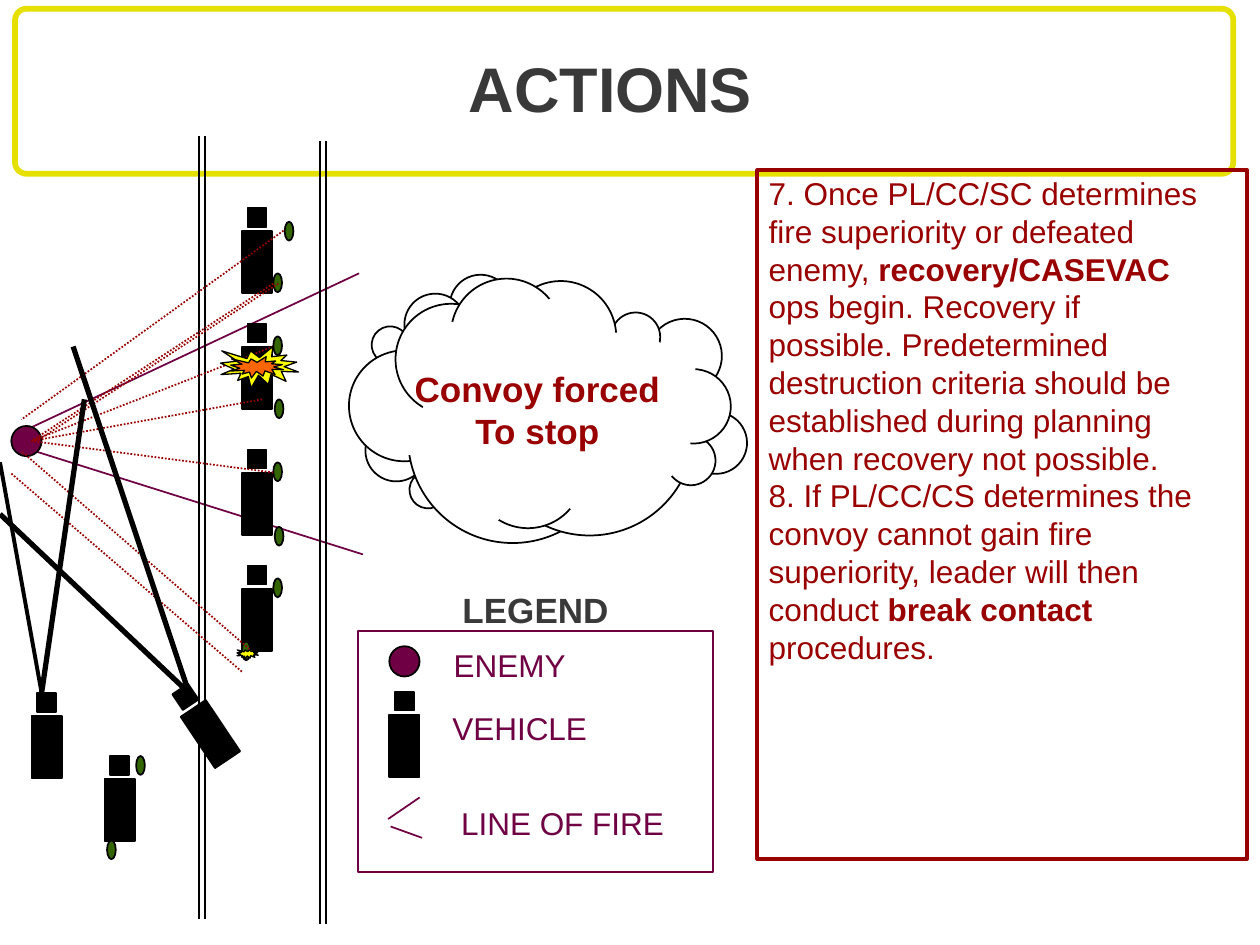
from collections import namedtuple
from dataclasses import dataclass
import math

from lxml import etree
from pptx import Presentation
from pptx.dml.color import RGBColor
from pptx.enum.dml import MSO_LINE
from pptx.enum.shapes import MSO_CONNECTOR, MSO_SHAPE
from pptx.enum.text import MSO_ANCHOR, MSO_AUTO_SIZE, PP_ALIGN
from pptx.oxml.ns import qn
from pptx.util import Pt

RECT, ROUNDED = MSO_SHAPE.RECTANGLE, MSO_SHAPE.ROUNDED_RECTANGLE
OVAL, BURST = MSO_SHAPE.OVAL, MSO_SHAPE.EXPLOSION1
STRAIGHT, DOTTED = MSO_CONNECTOR.STRAIGHT, MSO_LINE.ROUND_DOT
LEFT, CENTER = PP_ALIGN.LEFT, PP_ALIGN.CENTER
TOP, FIXED = MSO_ANCHOR.TOP, MSO_AUTO_SIZE.NONE

Box = namedtuple("Box", "left top width height")


@dataclass(frozen=True)
class Theme:
    font: str = "Arial"
    heading: str = "393939"
    frame: str = "E5E000"
    enemy: str = "6E0043"
    alert: str = "990000"
    ink: str = "000000"
    paper: str = "FFFFFF"
    troop: str = "336600"
    flash: str = "FFFF00"
    flash_core: str = "FF6600"
    title_size: float = 36
    label_size: float = 20
    text_size: float = 18
    leading: float = 1.2


THEME = Theme()
ENEMY_SIZE = 17.3


def write(frame, lines, size=THEME.text_size, color=THEME.ink, bold=False,
          align=CENTER, wrap=False):
    """Fill a text frame, one paragraph a line; *asterisks* mark bold words."""
    frame.word_wrap, frame.auto_size, frame.vertical_anchor = wrap, FIXED, TOP
    for number, line in enumerate(lines):
        paragraph = frame.add_paragraph() if number else frame.paragraphs[0]
        paragraph.alignment = align
        paragraph.line_spacing = Pt(size * THEME.leading)
        paragraph.space_before = Pt(0)
        for part, words in enumerate(line.split("*")):
            if words:
                run = paragraph.add_run()
                run.text = words
                run.font.name, run.font.size = THEME.font, Pt(size)
                run.font.bold = bold or part % 2 == 1
                run.font.color.rgb = RGBColor.from_string(color)


def place(item, box):
    item.left, item.top, item.width, item.height = (Pt(v) for v in box)


def inside(box, x, y, width, height):
    return Box(box.left + x, box.top + y, width, height)


def paint(shape, fill, line, weight):
    shape.shadow.inherit = False
    if fill:
        shape.fill.solid()
        shape.fill.fore_color.rgb = RGBColor.from_string(fill)
    else:
        shape.fill.background()
    if line:
        shape.line.color.rgb = RGBColor.from_string(line)
        shape.line.width = Pt(weight)
    else:
        shape.line.fill.background()


def add_preset(slide, preset, box, fill=None, line=THEME.ink, weight=1, angle=0):
    shape = slide.shapes.add_shape(preset, *(Pt(v) for v in box))
    paint(shape, fill, line, weight)
    shape.rotation = angle
    return shape


def add_line(slide, box, start, end, color=THEME.ink, weight=1, dash=None):
    points = [Pt(v) for x, y in (start, end) for v in (box.left + x, box.top + y)]
    line = slide.shapes.add_connector(STRAIGHT, *points)
    line.line.color.rgb = RGBColor.from_string(color)
    line.line.width = Pt(weight)
    if dash:
        line.line.dash_style = dash
    etree.SubElement(line._element.spPr, qn("a:effectLst"))


def add_label(slide, box, *lines, **style):
    label = slide.shapes.add_textbox(*(Pt(v) for v in box))
    write(label.text_frame, lines, **style)


def add_enemy(slide, box, x, y):
    add_preset(slide, OVAL, inside(box, x, y, ENEMY_SIZE, ENEMY_SIZE), THEME.enemy)


def add_vehicle(slide, box, x, y, angle=0):
    """Draw hull and cab, turned about the hull's centre; x, y is the upright corner."""
    hull_width, hull_height, cab, hull_drop = 17.3, 35.3, 10.8, 13.3
    add_preset(slide, RECT, inside(box, x, y + hull_drop, hull_width, hull_height),
               THEME.ink, angle=angle)
    reach = hull_drop + hull_height / 2 - cab / 2
    turn = math.radians(angle)
    cab_x = x + hull_width / 2 + reach * math.sin(turn) - cab / 2
    cab_y = y + hull_drop + hull_height / 2 - reach * math.cos(turn) - cab / 2
    add_preset(slide, RECT, inside(box, cab_x, cab_y, cab, cab), THEME.ink, angle=angle)


def draw_title(slide, box):
    frame = add_preset(slide, ROUNDED, box, line=THEME.frame, weight=3.25)
    frame.adjustments[0] = 0.07
    title = slide.shapes.title
    place(title, inside(box, 230.2, 19.5, 220, 50.4))
    write(title.text_frame, ["ACTIONS"], size=THEME.title_size,
          color=THEME.heading, bold=True)


def draw_steps(slide, box):
    add_preset(slide, RECT, box, line=THEME.alert, weight=2)
    steps = slide.placeholders[1]
    place(steps, inside(box, -0.7, -1.4, 285, 309.6))
    write(steps.text_frame, [
        "7. Once PL/CC/SC determines", "fire superiority or defeated",
        "enemy, *recovery/CASEVAC*", "ops begin. Recovery if",
        "possible. Predetermined", "destruction criteria should be",
        "established during planning", "when recovery not possible.",
        "8. If PL/CC/CS determines the", "convoy cannot gain fire",
        "superiority, leader will then", "conduct *break contact*", "procedures.",
    ], color=THEME.alert, align=LEFT, wrap=True)
    for paragraph in steps.text_frame.paragraphs:
        properties = paragraph._p.get_or_add_pPr()
        properties.set("marL", str(Pt(36)))
        properties.set("indent", str(Pt(-36)))
        etree.SubElement(properties, qn("a:buNone"))


def draw_legend(slide, box):
    add_preset(slide, RECT, box, line=THEME.enemy)
    add_label(slide, inside(box, 52.6, -28.1, 97.9, 31), "LEGEND",
              size=THEME.label_size, color=THEME.heading, bold=True)
    add_enemy(slide, box, 18, 8.6)
    add_vehicle(slide, box, 18, 34.6)
    add_line(slide, box, (35.3, 95), (17.3, 107.3), THEME.enemy)
    add_line(slide, box, (18.7, 111.6), (36.7, 118.1), THEME.enemy)
    for name, x, y, width in (("ENEMY", 47.5, 5, 78.5), ("VEHICLE", 46.8, 41, 91.4),
                              ("LINE OF FIRE", 51.8, 95, 130.3)):
        add_label(slide, inside(box, x, y, width, 28.8), name, color=THEME.enemy)


def draw_cloud(slide, box):
    def add_puffs(puffs):
        for x, y, size in puffs:
            add_preset(slide, OVAL, inside(box, x, y, size, size), THEME.paper, angle=336)

    def add_patch(corners):
        points = [(Pt(box.left + x), Pt(box.top + y)) for x, y in corners]
        builder = slide.shapes.build_freeform(*points[0])
        builder.add_line_segments(points[1:], close=True)
        paint(builder.convert_to_shape(), THEME.paper, None, 0)

    add_puffs([(57.6, 0, 35.3), (13, 29.5, 21.2), (34.6, 112.3, 21.2),
               (9.4, 82.8, 35.3), (31.7, 10.8, 35.3), (192.2, 78.5, 35.3),
               (0, 43.2, 63.4), (33.8, 33.8, 119.5)])
    add_patch([(36.7, 69.1), (28.1, 103), (39.6, 103), (40.3, 70.6)])
    add_puffs([(77.8, 29.5, 119.5), (170.6, 25.2, 42.5), (181.4, 92.2, 28.1),
               (149.8, 21.6, 28.1), (175.7, 54, 42.5), (26.6, 16.6, 63.4),
               (89.3, 3.6, 63.4), (58.3, 2.2, 63.4), (70.6, 81.4, 63.4)])
    add_patch([(55.4, 26.6), (88.6, 30.2), (117.4, 12.2), (150.5, 33.1), (157, 33.1),
               (175, 36.7), (182.2, 42.5), (198, 51.8), (198, 56.9), (194.4, 106.6),
               (180.7, 118.1), (129.6, 136.1), (123.1, 131), (87.1, 138.2),
               (82.1, 144), (40.3, 83.5)])
    add_label(slide, inside(box, 24.5, 49.7, 166.3, 55.4), "Convoy forced", "To stop",
              size=THEME.label_size, color=THEME.alert, bold=True)


def draw_ambush(slide, box):
    add_line(slide, box, (13.7, 174.2), (205.2, 84.2), THEME.enemy)
    add_line(slide, box, (15.1, 184.3), (207.4, 244.8), THEME.enemy)
    add_enemy(slide, box, 6.5, 171.4)

    for cab_top in (46.8, 113, 185, 251.3):
        add_vehicle(slide, box, 138.2, cab_top)
    add_vehicle(slide, box, 111.6, 316.5, angle=-33.8)
    add_vehicle(slide, box, 59.8, 360)
    for x, y in ((156.2, 258.5), (138.2, 294.5), (156.2, 192.2), (157, 229),
                 (156.2, 120.2), (157, 156.2), (162.7, 54.7), (156.2, 84.2),
                 (77.8, 360), (61.2, 408.2)):
        add_preset(slide, OVAL, inside(box, x, y, 5, 10.8), THEME.troop)

    for edge, top in ((113.8, 5.8), (182.9, 8.6)):
        for x in (edge, edge + 3.2):
            add_line(slide, box, (x, top), (x, top + 447.5))

    muzzle = (18, 180)
    for target, source in (((156.2, 90), muzzle), ((162, 59.8), (12.2, 167.8)),
                           ((156.2, 126), muzzle), ((149.8, 156.2), muzzle),
                           ((156.2, 198), muzzle), ((144, 300.2), (12.2, 185.8)),
                           ((159.1, 90), (20.9, 180)), ((138.2, 311.8), (5.8, 198))):
        add_line(slide, box, target, source, THEME.alert, dash=DOTTED)

    for blast, color in (((135.4, 298.8, 12.2, 5.8), THEME.flash),
                         ((126, 126, 44.6, 23.8), THEME.flash),
                         ((131.8, 131.8, 30.2, 12.2), THEME.flash_core)):
        add_preset(slide, BURST, inside(box, *blast), color, weight=0.75)

    add_vehicle(slide, box, 18, 324)
    for gun, limit, weight in (((108, 324), (0, 221.8), 3), ((108, 324), (41.8, 126), 3),
                               ((23.8, 324), (0, 192.2), 2.25),
                               ((23.8, 324), (48.2, 156.2), 3)):
        add_line(slide, box, gun, limit, weight=weight)


def main():
    deck = Presentation()
    deck.slide_width, deck.slide_height = Pt(720), Pt(540)
    slide = deck.slides.add_slide(deck.slide_layouts[1])
    draw_title(slide, Box(8.6, 5, 696.2, 94.3))
    draw_legend(slide, Box(204.5, 360.7, 203, 137.5))
    draw_steps(slide, Box(432.7, 97.2, 280, 393.8))
    draw_cloud(slide, Box(199.4, 157, 228, 158))
    draw_ambush(slide, Box(0, 72, 208, 456))
    deck.save("out.pptx")


if __name__ == "__main__":
    main()
